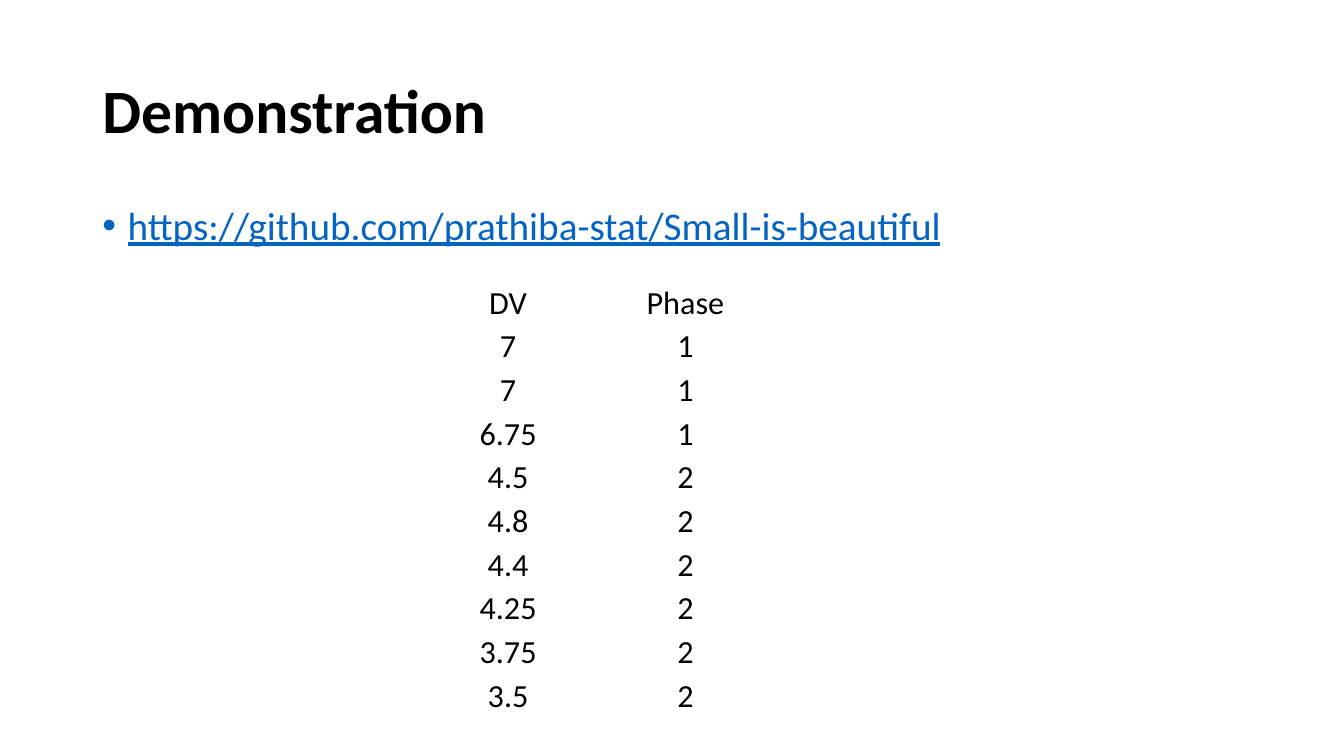
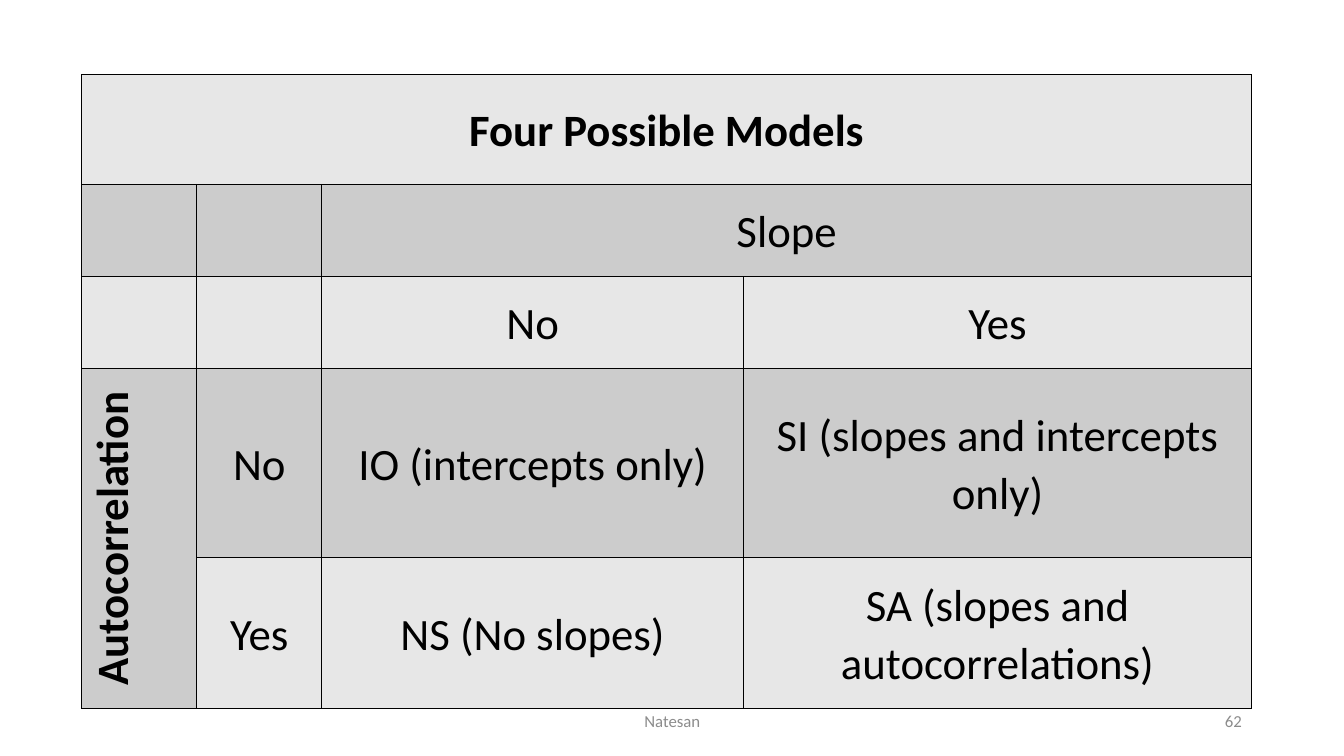
"""Build two slides: a data table with its link, and a grid of four models."""
from dataclasses import dataclass

from lxml import etree
from pptx import Presentation
from pptx.dml.color import RGBColor
from pptx.enum.text import MSO_ANCHOR, PP_ALIGN
from pptx.oxml.ns import qn
from pptx.util import Cm, Pt

LEFT, CENTER, RIGHT = PP_ALIGN.LEFT, PP_ALIGN.CENTER, PP_ALIGN.RIGHT
TOP, MIDDLE, BOTTOM = MSO_ANCHOR.TOP, MSO_ANCHOR.MIDDLE, MSO_ANCHOR.BOTTOM
FONT = "Calibri"
BLACK, BLUE, GRAY = "000000", "0563C1", "8C8C8C"
LIGHT, DARK = "E7E7E7", "CCCCCC"


@dataclass(frozen=True)
class Style:
    size: float
    color: str = BLACK
    bold: bool = False
    under: bool = False
    align: PP_ALIGN = LEFT
    anchor: MSO_ANCHOR = MIDDLE
    lead: float = 1.0


@dataclass(frozen=True)
class Box:
    left: float
    top: float
    width: float
    height: float


@dataclass(frozen=True)
class Entry:
    row: int
    col: int
    text: str
    bold: bool = False
    rows: int = 1
    cols: int = 1
    turned: bool = False


TITLE = Style(44, bold=True, lead=0.9)
LINK = Style(28, BLUE, under=True, anchor=TOP, lead=0.9)
FOOT = Style(12, GRAY, align=CENTER)
PAGE = Style(12, GRAY, align=RIGHT)
DATA = Style(23, align=CENTER, anchor=BOTTOM)
MODEL = Style(32, align=CENTER, lead=1.07)
HEAD = Style(32, bold=True, align=CENTER, lead=1.07)

SCORES = [("DV", "Phase"), ("7", "1"), ("7", "1"), ("6.75", "1"), ("4.5", "2"),
          ("4.8", "2"), ("4.4", "2"), ("4.25", "2"), ("3.75", "2"), ("3.5", "2")]
MODELS = [
    Entry(0, 0, "Four Possible Models", bold=True, cols=4),
    Entry(1, 2, "Slope", cols=2),
    Entry(2, 2, "No"),
    Entry(2, 3, "Yes"),
    Entry(3, 0, "Autocorrelation", bold=True, rows=2, turned=True),
    Entry(3, 1, "No"),
    Entry(3, 2, "IO (intercepts only)"),
    Entry(3, 3, "SI (slopes and intercepts only)"),
    Entry(4, 1, "Yes"),
    Entry(4, 2, "NS (No slopes)"),
    Entry(4, 3, "SA (slopes and autocorrelations)"),
]


def rgb(code: str) -> RGBColor:
    """Turn a hex string into a colour."""
    return RGBColor.from_string(code)


def format_para(para, style: Style) -> None:
    """Apply a style to a paragraph and its runs."""
    para.alignment = style.align
    para.line_spacing = style.lead
    for run in para.runs:
        font = run.font
        font.name, font.size = FONT, Pt(style.size)
        font.bold, font.underline = style.bold, style.under
        font.color.rgb = rgb(style.color)


def add_text(slide, box: Box, text: str, style: Style, bullet: bool = False) -> None:
    """Place a wrapped text box."""
    shape = slide.shapes.add_textbox(
        Cm(box.left), Cm(box.top), Cm(box.width), Cm(box.height))
    frame = shape.text_frame
    frame.word_wrap = True
    frame.vertical_anchor = style.anchor
    frame.text = text
    para = frame.paragraphs[0]
    if bullet:
        add_bullet(para)
    format_para(para, style)


def add_bullet(para) -> None:
    """Give a paragraph a hanging round bullet."""
    props = para._p.get_or_add_pPr()
    indent = Cm(0.64)
    props.set("marL", str(indent))
    props.set("indent", str(-indent))
    etree.SubElement(props, qn("a:buFont"), typeface="Arial")
    etree.SubElement(props, qn("a:buChar"), char="•")


def add_grid(slide, left: float, top: float, cols: list[float], rows: list[float]):
    """Place a plain table with the given column widths and row heights."""
    table = slide.shapes.add_table(
        len(rows), len(cols), Cm(left), Cm(top), Cm(sum(cols)), Cm(sum(rows))).table
    table.first_row = table.horz_banding = False
    for col, width in zip(table.columns, cols):
        col.width = Cm(width)
    for row, height in zip(table.rows, rows):
        row.height = Cm(height)
    return table


def fill_cell(cell, text: str, style: Style, side: float, top: float) -> None:
    """Write styled text into a cell with the given margins."""
    cell.margin_left = cell.margin_right = Cm(side)
    cell.margin_top, cell.margin_bottom = Cm(top), Cm(0)
    cell.vertical_anchor = style.anchor
    cell.text_frame.text = text
    format_para(cell.text_frame.paragraphs[0], style)


def add_border(cell) -> None:
    """Draw a thin black line on each side of a cell."""
    props = cell._tc.get_or_add_tcPr()
    for side in ("a:lnL", "a:lnR", "a:lnT", "a:lnB"):
        line = etree.SubElement(props, qn(side), w=str(Pt(1)))
        paint = etree.SubElement(line, qn("a:solidFill"))
        etree.SubElement(paint, qn("a:srgbClr"), val=BLACK)


def build_demo(slide) -> None:
    """Draw the title, the link and the scores."""
    add_text(slide, Box(2.33, 1.02, 29.21, 3.68), "Demonstration", TITLE)
    add_text(slide, Box(2.33, 5.08, 29.21, 12.09),
             "https://github.com/prathiba-stat/Small-is-beautiful", LINK, bullet=True)
    table = add_grid(slide, 10.57, 7.04, [4.47] * 2, [1.1] * len(SCORES))
    for r, pair in enumerate(SCORES):
        for c, text in enumerate(pair):
            cell = table.cell(r, c)
            fill_cell(cell, text, DATA, 0.05, 0.05)
            cell.fill.background()


def build_models(slide) -> None:
    """Draw the footer and the grid of models."""
    add_text(slide, Box(11.23, 17.65, 11.43, 1.02), "Natesan", FOOT)
    add_text(slide, Box(23.93, 17.65, 7.62, 1.02), "62", PAGE)
    rows = [2.77, 2.32, 2.32, 4.76, 3.81]
    cols = [2.9, 3.15, 10.63, 12.8]
    table = add_grid(slide, 2.06, 1.88, cols, rows)
    for r in range(len(rows)):
        for c in range(len(cols)):
            cell = table.cell(r, c)
            add_border(cell)
            cell.fill.solid()
            cell.fill.fore_color.rgb = rgb(DARK if r % 2 else LIGHT)
    for item in MODELS:
        cell = table.cell(item.row, item.col)
        if item.rows > 1 or item.cols > 1:
            cell.merge(table.cell(item.row + item.rows - 1, item.col + item.cols - 1))
        fill_cell(cell, item.text, HEAD if item.bold else MODEL, 0.18, 0)
        if item.turned:
            cell._tc.get_or_add_tcPr().set("vert", "vert270")


def main() -> None:
    """Build and save the slides."""
    deck = Presentation()
    deck.slide_width, deck.slide_height = Cm(33.87), Cm(19.05)
    for build in (build_demo, build_models):
        build(deck.slides.add_slide(deck.slide_layouts[6]))
    deck.save("out.pptx")


if __name__ == "__main__":
    main()
